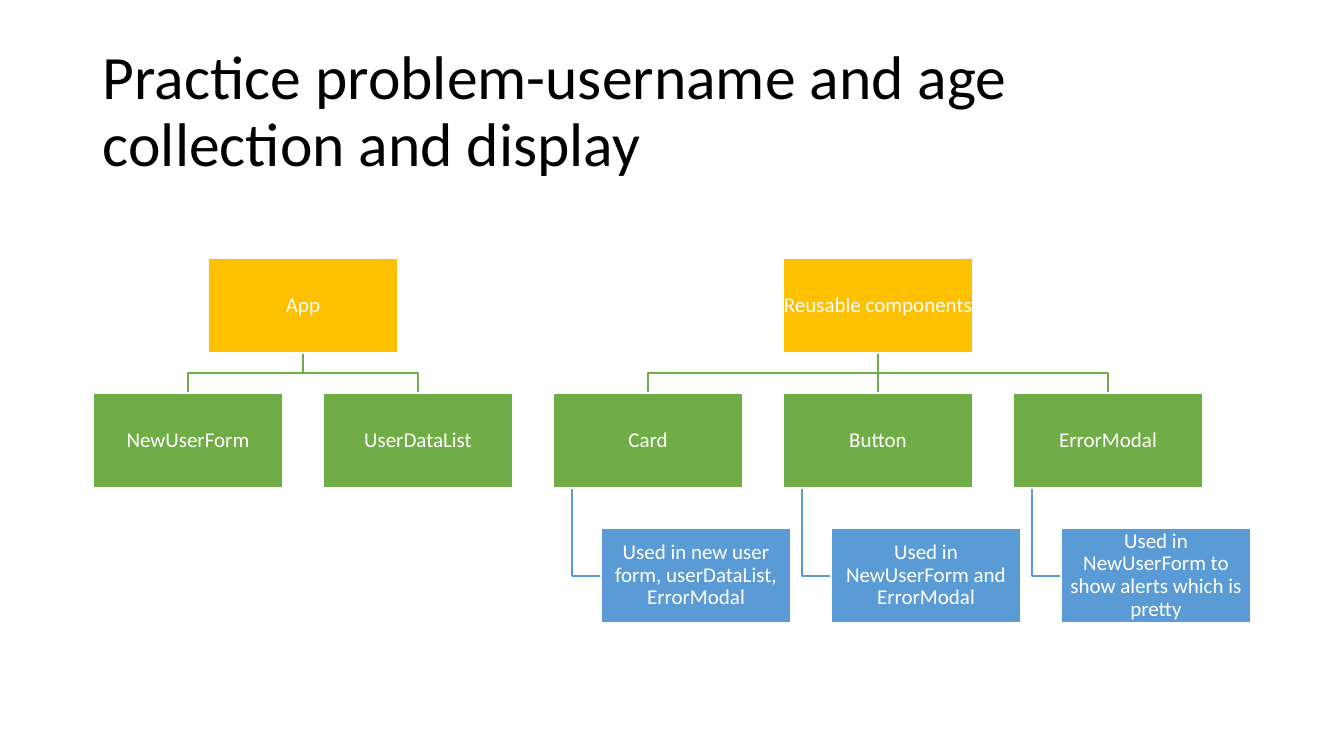
from pptx import Presentation
from pptx.dml.color import RGBColor
from pptx.enum.shapes import MSO_CONNECTOR, MSO_SHAPE
from pptx.enum.text import MSO_ANCHOR, PP_ALIGN
from pptx.oxml.ns import qn
from pptx.util import Pt
from lxml import etree

PX = 9071.43  # EMU per pixel
SLIDE_W, SLIDE_H = 1344, 756
BOX_W, BOX_H = 190, 95
COL_STEP, ROW_STEP = 230, 135
NOTE_INDENT, STEM_INDENT = 48, 19
FONT = "Calibri"

BLACK = RGBColor(0x00, 0x00, 0x00)
WHITE = RGBColor(0xFF, 0xFF, 0xFF)
GOLD = RGBColor(0xFF, 0xC0, 0x00)
GREEN = RGBColor(0x70, 0xAD, 0x47)
BLUE = RGBColor(0x5B, 0x9B, 0xD5)

RECTANGLE = MSO_SHAPE.RECTANGLE
STRAIGHT = MSO_CONNECTOR.STRAIGHT
MIDDLE = MSO_ANCHOR.MIDDLE
LEFT, CENTER = PP_ALIGN.LEFT, PP_ALIGN.CENTER


def emu(*pixels):
    return [round(value * PX) for value in pixels]


def write(shape, text, size, color, align):
    frame = shape.text_frame
    frame.word_wrap = True
    frame.vertical_anchor = MIDDLE
    frame.text = text
    paragraph = frame.paragraphs[0]
    paragraph.alignment = align
    paragraph.line_spacing = 0.9
    font = paragraph.runs[0].font
    font.name, font.size = FONT, Pt(size)
    font.color.rgb = color
    return frame


def add_title(slide, left, top, width, height, text):
    title = slide.shapes.add_textbox(*emu(left, top, width, height))
    write(title, text, 44, BLACK, LEFT)


def add_box(slide, left, top, text, color):
    box = slide.shapes.add_shape(RECTANGLE, *emu(left, top, BOX_W, BOX_H))
    box.shadow.inherit = False
    box.fill.solid()
    box.fill.fore_color.rgb = color
    box.line.color.rgb = WHITE
    box.line.width = Pt(1)
    frame = write(box, text, 15, WHITE, CENTER)
    frame.margin_left = frame.margin_right = emu(1)[0]
    frame.margin_top = frame.margin_bottom = emu(1)[0]


def add_branch(slide, points, color):
    (x1, y1), (x2, y2) = points[0], points[-1]
    if x1 == x2:
        branch = slide.shapes.add_connector(STRAIGHT, *emu(x1, y1, x2, y2))
        etree.SubElement(branch._element.spPr, qn("a:effectLst"))
    else:
        outline = slide.shapes.build_freeform(x1, y1, scale=PX)
        outline.add_line_segments(points[1:], close=False)
        branch = outline.convert_to_shape()
        branch.fill.background()
        branch.shadow.inherit = False
    branch.line.color.rgb = color
    branch.line.width = Pt(1)


def add_hierarchy(slide, left, top, root, children):
    """children: (name, note) pairs, the note being None where absent."""
    columns = [left + COL_STEP * i for i in range(len(children))]
    root_left = (columns[0] + columns[-1]) / 2
    root_x = root_left + BOX_W / 2
    child_top, note_top = top + ROW_STEP, top + 2 * ROW_STEP
    root_bottom, child_bottom = top + BOX_H, child_top + BOX_H
    bend_y = (root_bottom + child_top) / 2

    # Branches lie behind the boxes
    for column, (_, note) in zip(columns, children):
        child_x = column + BOX_W / 2
        add_branch(slide, [(root_x, root_bottom), (root_x, bend_y),
                           (child_x, bend_y), (child_x, child_top)], GREEN)
        if note:
            stem_x, note_y = column + STEM_INDENT, note_top + BOX_H / 2
            add_branch(slide, [(stem_x, child_bottom), (stem_x, note_y),
                               (column + NOTE_INDENT, note_y)], BLUE)

    # Root, children and their notes
    add_box(slide, root_left, top, root, GOLD)
    for column, (name, note) in zip(columns, children):
        add_box(slide, column, child_top, name, GREEN)
        if note:
            add_box(slide, column + NOTE_INDENT, note_top, note, BLUE)


presentation = Presentation()
presentation.slide_width, presentation.slide_height = emu(SLIDE_W, SLIDE_H)
slide = presentation.slides.add_slide(presentation.slide_layouts[6])

add_title(slide, 93, 40, 1159, 146,
          "Practice problem-username and age collection and display")
add_hierarchy(slide, 93, 258, "App",
              [("NewUserForm", None), ("UserDataList", None)])
add_hierarchy(slide, 93 + 2 * COL_STEP, 258, "Reusable components", [
    ("Card", "Used in new user form, userDataList, ErrorModal"),
    ("Button", "Used in NewUserForm and ErrorModal"),
    ("ErrorModal", "Used in NewUserForm to show alerts which is pretty"),
])

presentation.save("out.pptx")
